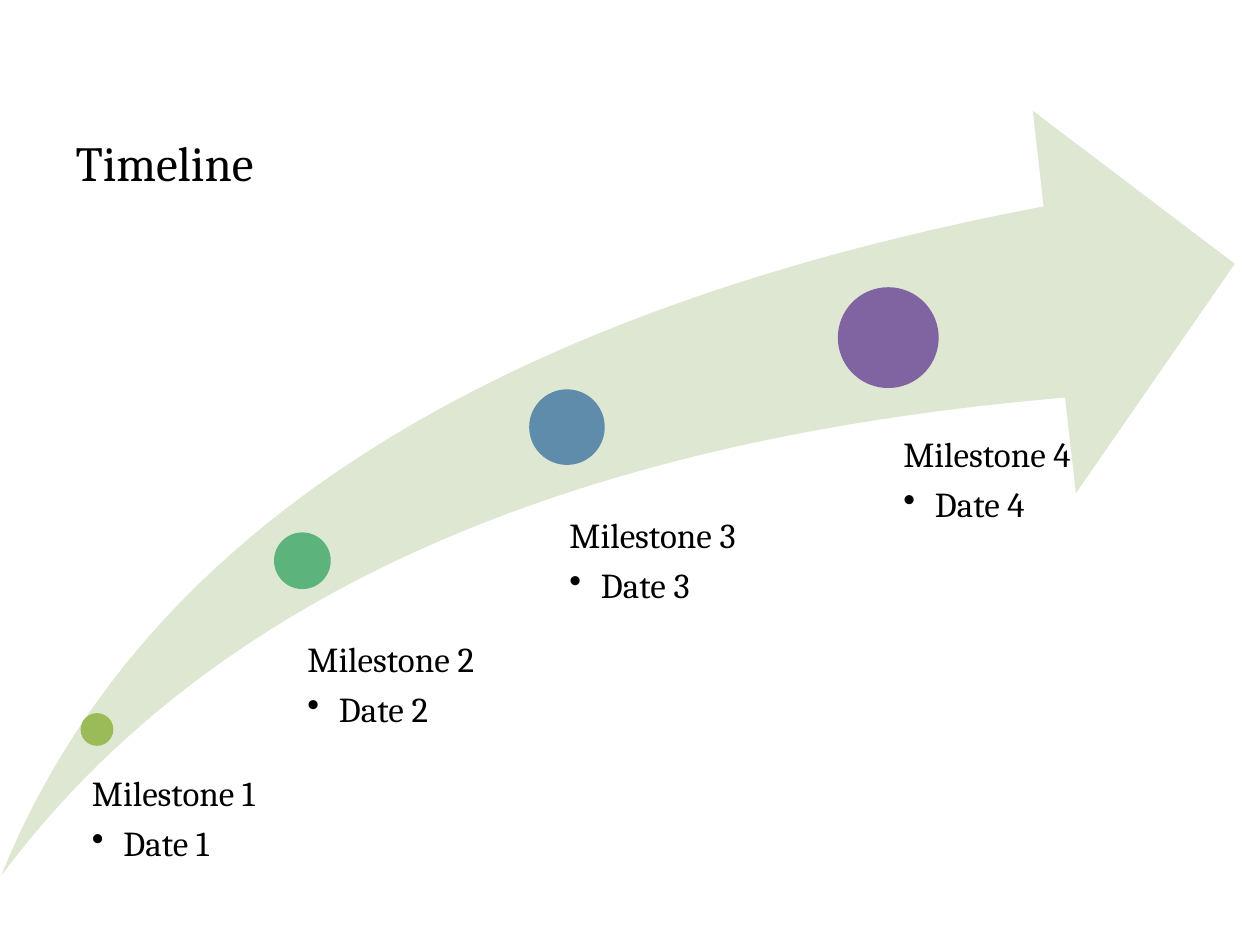
from lxml.etree import SubElement
from pptx import Presentation
from pptx.dml.color import RGBColor
from pptx.enum.shapes import MSO_SHAPE as Shape
from pptx.enum.text import MSO_ANCHOR as Anchor, PP_ALIGN as Align
from pptx.oxml.ns import qn
from pptx.util import Inches, Pt

FONT = "Cambria"
COLORS = {
    "text": "000000",
    "arrow": "DEE7D1",
    "lime": "9BBB59",
    "green": "5CB37C",
    "blue": "608CAB",
    "purple": "8064A2",
}
TITLE = "Timeline"
MILESTONES = [
    {"name": "Milestone 1", "date": "Date 1", "color": "lime", "center": (0.77, 5.79),
     "size": 0.26, "label": (0.59, 6.16, 2.33, 1.68), "inset": 0.14},
    {"name": "Milestone 2", "date": "Date 2", "color": "green", "center": (2.40, 4.45),
     "size": 0.45, "label": (2.20, 5.10, 2.37, 2.63), "inset": 0.24},
    {"name": "Milestone 3", "date": "Date 3", "color": "blue", "center": (4.50, 3.39),
     "size": 0.60, "label": (4.20, 4.11, 2.37, 2.65), "inset": 0.32},
    {"name": "Milestone 4", "date": "Date 4", "color": "purple", "center": (7.05, 2.68),
     "size": 0.80, "label": (6.75, 3.47, 2.37, 3.26), "inset": 0.42},
]


def inches(*values):
    return [Inches(value) for value in values]


def style_font(para, size):
    para.font.name = FONT
    para.font.size = Pt(size)
    para.font.color.rgb = RGBColor.from_string(COLORS["text"])


def add_filled(page, kind, area, color):
    shape = page.shapes.add_shape(kind, *inches(*area))
    shape.shadow.inherit = False
    shape.fill.solid()
    shape.fill.fore_color.rgb = RGBColor.from_string(COLORS[color])
    shape.line.fill.background()
    return shape


def add_bullet(para):
    properties = para._p.get_or_add_pPr()
    properties.set("marL", str(Inches(0.25)))
    properties.set("indent", str(Inches(-0.25)))
    SubElement(properties, qn("a:buChar")).set("char", "•")


def add_label(page, milestone):
    box = page.shapes.add_textbox(*inches(*milestone["label"]))
    frame = box.text_frame
    frame.word_wrap = True
    frame.vertical_anchor = Anchor.TOP
    frame.margin_left = Inches(milestone["inset"])
    frame.margin_top = frame.margin_right = frame.margin_bottom = 0
    name, date = frame.paragraphs[0], frame.add_paragraph()
    name.text, date.text = milestone["name"], milestone["date"]
    date.level = 1
    for para, gap in ((name, 7), (date, 3)):
        style_font(para, 20)
        para.line_spacing = 0.9
        para.space_after = Pt(gap)
    add_bullet(date)


def add_milestone(page, milestone):
    x, y = milestone["center"]
    size = milestone["size"]
    area = (x - size / 2, y - size / 2, size, size)
    add_filled(page, Shape.OVAL, area, milestone["color"])
    add_label(page, milestone)


def add_title(page):
    title = page.shapes.title
    title.left, title.top, title.width, title.height = inches(0.5, 1, 9, 1)
    title.text_frame.vertical_anchor = Anchor.TOP
    para = title.text_frame.paragraphs[0]
    para.text = TITLE
    para.alignment = Align.LEFT
    style_font(para, 28)


def main():
    deck = Presentation()
    deck.slide_width, deck.slide_height = inches(10, 7.5)
    page = deck.slides.add_slide(deck.slide_layouts[5])
    arrow = add_filled(page, Shape.SWOOSH_ARROW, (0.01, 0.88, 9.79, 6.07), "arrow")
    arrow.adjustments[0] = 0.25
    arrow.adjustments[1] = 0.25
    for milestone in MILESTONES:
        add_milestone(page, milestone)
    add_title(page)
    deck.save("out.pptx")


if __name__ == "__main__":
    main()
